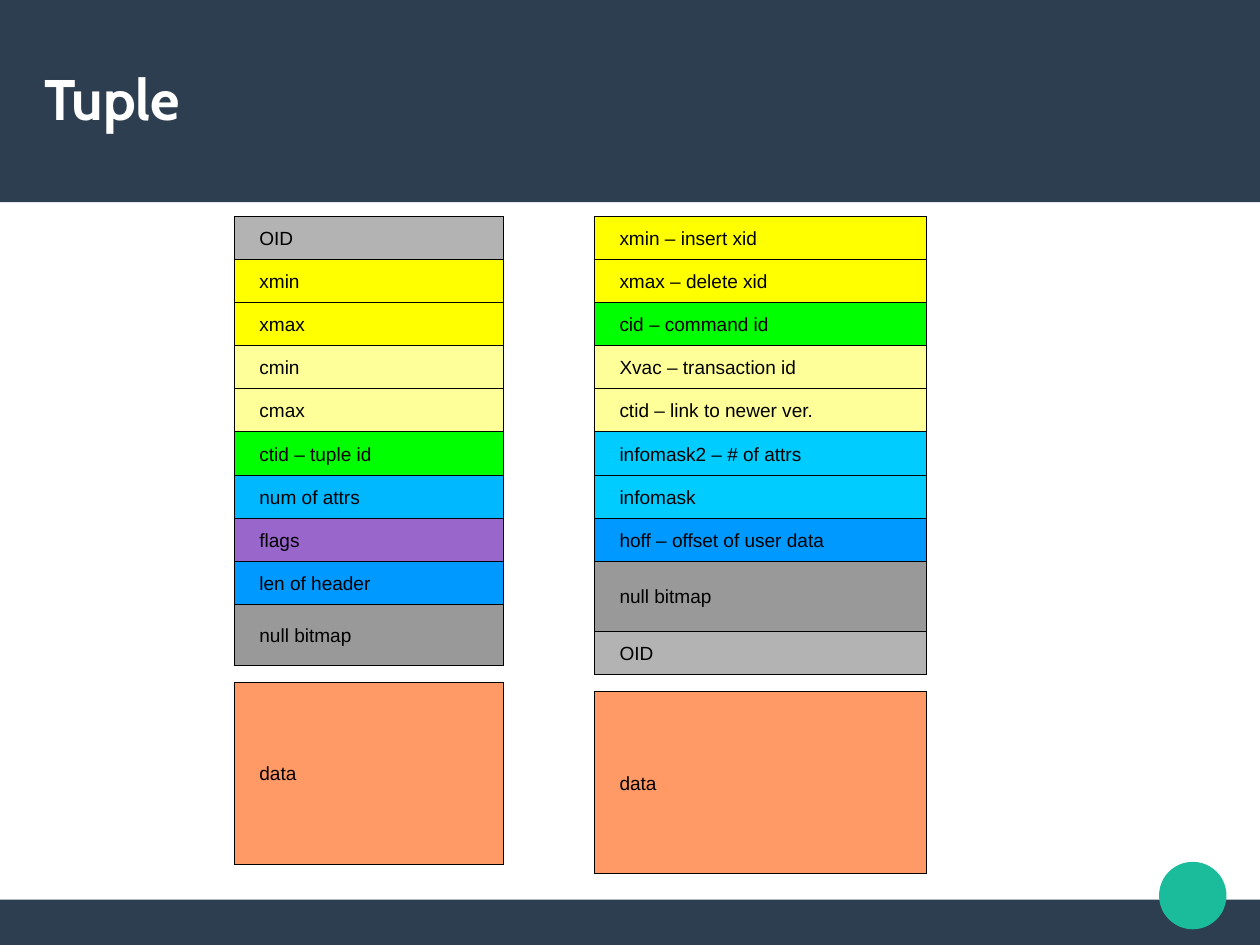
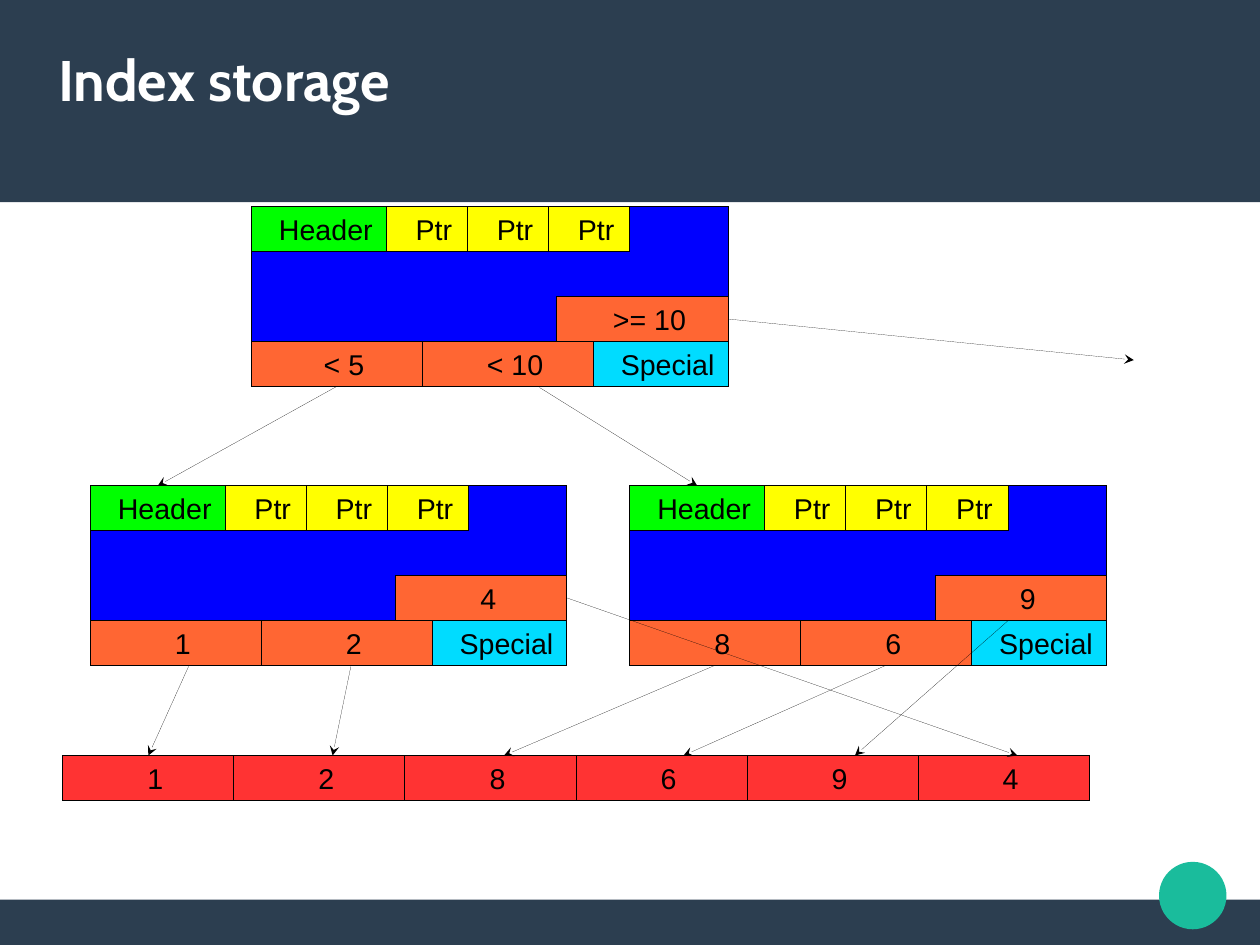
import pptx
import pptx.util
import pptx.dml.color
import pptx.enum.shapes
import pptx.enum.text
import pptx.oxml
import pptx.oxml.ns
from dataclasses import dataclass

Inches = pptx.util.Inches
Pt = pptx.util.Pt
SHAPE = pptx.enum.shapes.MSO_SHAPE
ALIGN = pptx.enum.text.PP_ALIGN
TOP, LEFT, BOTTOM, RIGHT = range(4)
SLIDE_W, SLIDE_H = 28 / 2.54, 21 / 2.54
HEAP_W = 8.98
KEY_W = HEAP_W / 6


@dataclass(frozen=True)
class Theme:
    band: str = "2C3E50"
    accent: str = "1ABC9C"
    white: str = "FFFFFF"
    black: str = "000000"
    silver: str = "B3B3B3"
    gray: str = "999999"
    yellow: str = "FFFF00"
    cream: str = "FFFF99"
    green: str = "00FF00"
    sky: str = "00B8FF"
    cyan: str = "00CCFF"
    azure: str = "0099FF"
    purple: str = "9966CC"
    salmon: str = "FF9966"
    blue: str = "0000FF"
    orange: str = "FF6633"
    aqua: str = "00DCFF"
    red: str = "FF3333"
    title_font: str = "Cabin"
    body_font: str = "Arial"
    title_size: int = 36
    page_size: int = 18
    field_size: int = 12


T = Theme()


class Deck:
    """Slides in one style, with a method for each kind of element."""

    def __init__(self):
        self.prs = pptx.Presentation()
        self.prs.slide_width = pptx.util.Cm(28)
        self.prs.slide_height = pptx.util.Cm(21)
        self.s = None

    def slide(self, title, x, y, w, h):
        self.s = self.prs.slides.add_slide(self.prs.slide_layouts[6])
        self.shape(0, 7.87, SLIDE_W, SLIDE_H - 7.87, T.band)
        self.shape(0, 0, SLIDE_W, 1.77, T.band)
        self.shape(10.14, 7.54, 0.59, 0.59, T.accent, SHAPE.OVAL)
        tb = self.s.shapes.add_textbox(*map(Inches, (x, y, w, h)))
        self.text(tb.text_frame, title, T.title_font, T.title_size, T.white, bold=True)
        tb.text_frame.word_wrap = True

    def shape(self, x, y, w, h, fill, kind=SHAPE.RECTANGLE, outlined=False):
        sp = self.s.shapes.add_shape(kind, *map(Inches, (x, y, w, h)))
        sp.shadow.inherit = False
        sp.fill.solid()
        sp.fill.fore_color.rgb = pptx.dml.color.RGBColor.from_string(fill)
        if outlined:
            self.hairline(sp)
        else:
            sp.line.fill.background()
        return sp

    def hairline(self, sp):
        sp.line.color.rgb = pptx.dml.color.RGBColor.from_string(T.black)
        sp.line.width = Pt(0)
        sp._element.remove(sp._element.find(pptx.oxml.ns.qn("p:style")))

    def text(self, tf, text, font, size, color, bold=False, align=ALIGN.LEFT, insets=(0, 0, 0, 0)):
        tf.vertical_anchor = pptx.enum.text.MSO_ANCHOR.MIDDLE
        tf.margin_left, tf.margin_top, tf.margin_right, tf.margin_bottom = map(Inches, insets)
        p = tf.paragraphs[0]
        p.text = text
        p.alignment = align
        p.font.name = font
        p.font.size = Pt(size)
        p.font.bold = bold
        p.font.color.rgb = pptx.dml.color.RGBColor.from_string(color)

    def cell(self, x, y, w, h, text, fill, size=T.page_size, align=ALIGN.CENTER):
        sp = self.shape(x, y, w, h, fill, outlined=True)
        self.text(sp.text_frame, text, T.body_font, size, T.black,
                  align=align, insets=(0.22, 0.05, 0.1, 0.05))
        sp.text_frame.word_wrap = False
        return sp

    def tuple_layout(self, x, w, fields, bitmap_h, tail):
        top, row = 1.89, 3.4 / 9
        rows = [(text, fill, row) for text, fill in fields]
        rows.append(("null bitmap", T.gray, bitmap_h))
        rows += [(text, fill, row) for text, fill in tail]
        y = top
        for text, fill, h in rows:
            self.cell(x, y, w, h, text, fill, T.field_size, ALIGN.LEFT)
            y += h
        self.cell(x, y + 0.15, w, 1.59, "data", T.salmon, T.field_size, ALIGN.LEFT)

    def index_page(self, x, y, keys):
        w, row, end_w, ptr_w = 4.17, 1.57 / 4, 1.18, 0.71
        self.shape(x, y, w, 4 * row, T.blue, outlined=True)
        header = self.cell(x, y, end_w, row, "Header", T.green)
        for i in range(3):
            self.cell(x + end_w + i * ptr_w, y, ptr_w, row, "Ptr", T.yellow)
        bottom = y + 3 * row
        self.cell(x + w - end_w, bottom, end_w, row, "Special", T.aqua)
        places = [(x, bottom), (x + KEY_W, bottom), (x + w - KEY_W, y + 2 * row)]
        return header, [self.cell(kx, ky, KEY_W, row, key, T.orange)
                        for key, (kx, ky) in zip(keys, places)]

    def arrow(self, start, end):
        joined = [isinstance(e[0], pptx.shapes.autoshape.Shape) for e in (start, end)]
        points = [(0, 0) if j else e for j, e in zip(joined, (start, end))]
        c = self.s.shapes.add_connector(pptx.enum.shapes.MSO_CONNECTOR.STRAIGHT,
                                        *(Inches(v) for point in points for v in point))
        if joined[0]:
            c.begin_connect(*start)
        if joined[1]:
            c.end_connect(*end)
        self.hairline(c)
        spPr = c._element.spPr
        ln = spPr.find(pptx.oxml.ns.qn("a:ln"))
        ns = pptx.oxml.ns.nsdecls("a")
        ln.append(pptx.oxml.parse_xml(f'<a:tailEnd {ns} type="stealth"/>'))
        spPr.append(pptx.oxml.parse_xml(f"<a:effectLst {ns}/>"))


def tuple_slide(d):
    d.slide("Tuple", 0.39, 0.33, 10.24, 1.05)
    d.tuple_layout(2.05, 2.36, [
        ("OID", T.silver),
        ("xmin", T.yellow),
        ("xmax", T.yellow),
        ("cmin", T.cream),
        ("cmax", T.cream),
        ("ctid – tuple id", T.green),
        ("num of attrs", T.sky),
        ("flags", T.purple),
        ("len of header", T.azure),
    ], 0.53, [])
    d.tuple_layout(5.2, 2.91, [
        ("xmin – insert xid", T.yellow),
        ("xmax – delete xid", T.yellow),
        ("cid – command id", T.green),
        ("Xvac – transaction id", T.cream),
        ("ctid – link to newer ver.", T.cream),
        ("infomask2 – # of attrs", T.cyan),
        ("infomask", T.cyan),
        ("hoff – offset of user data", T.azure),
    ], 0.61, [("OID", T.silver)])


def index_slide(d):
    d.slide("Index storage", 0.51, 0, 9.92, 1.38)
    _, root = d.index_page(2.2, 1.81, ["< 5", "< 10", ">= 10"])
    left_header, left = d.index_page(0.79, 4.25, ["1", "2", "4"])
    right_header, right = d.index_page(5.51, 4.25, ["8", "6", "9"])
    heap_y = 6.61
    heap = [d.cell(0.55 + i * KEY_W, heap_y, KEY_W, 0.39, key, T.red)
            for i, key in enumerate("128694")]
    for start, end in [
        ((root[2], RIGHT), (9.92, 3.15)),
        ((4.72, 3.39), (right_header, TOP)),
        ((root[0], BOTTOM), (left_header, TOP)),
        ((left[2], RIGHT), (8.9, heap_y)),
        ((8.82, 5.43), (7.48, heap_y)),
        ((right[1], BOTTOM), (5.98, heap_y)),
        ((right[0], BOTTOM), (4.41, heap_y)),
        ((1.65, 5.83), (heap[0], TOP)),
        ((3.07, 5.83), (2.91, heap_y)),
    ]:
        d.arrow(start, end)


def main():
    d = Deck()
    tuple_slide(d)
    index_slide(d)
    d.prs.save("out.pptx")


if __name__ == "__main__":
    main()
